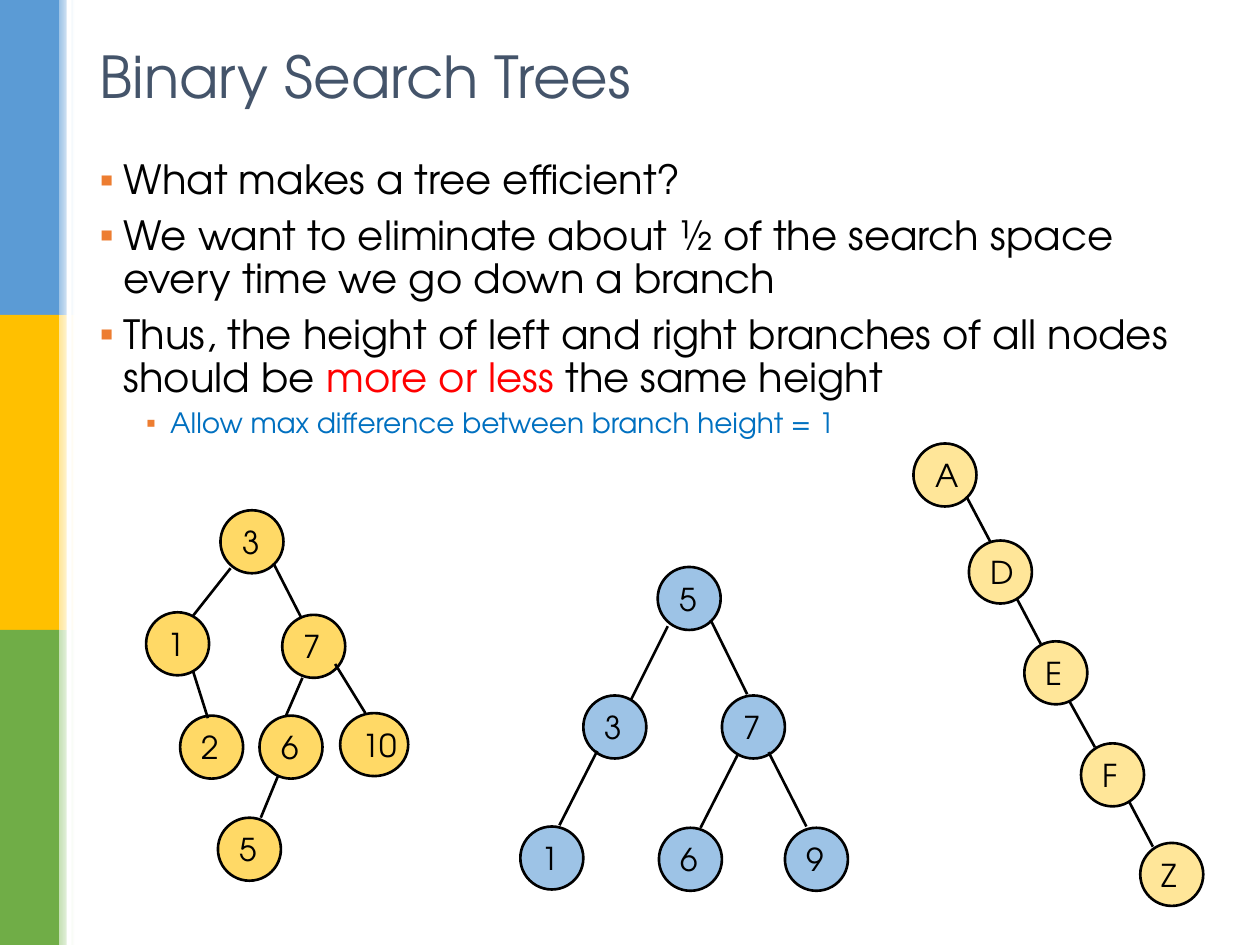
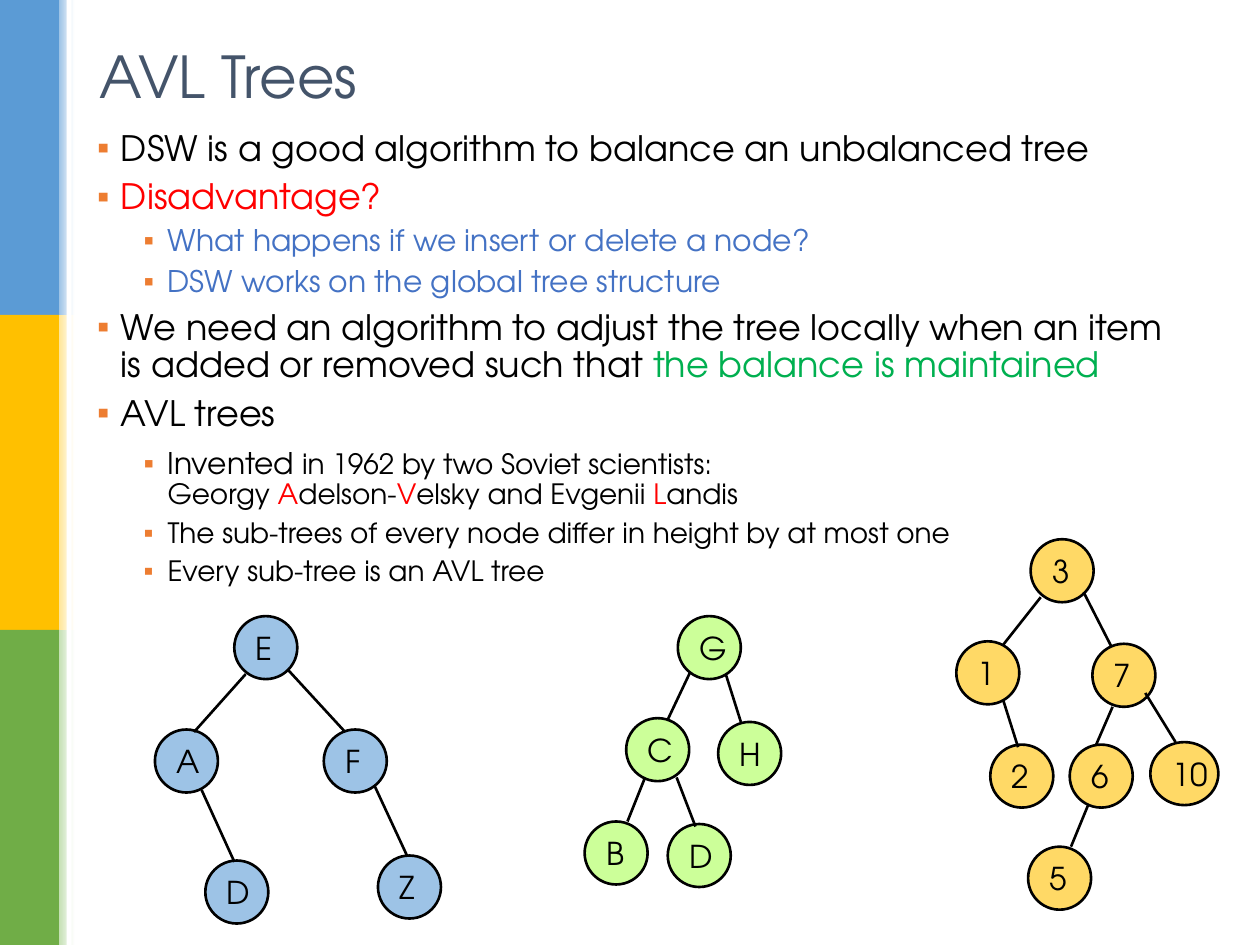
from lxml.etree import SubElement
from pptx import Presentation
from pptx.dml.color import RGBColor
from pptx.enum.shapes import MSO_CONNECTOR, MSO_SHAPE
from pptx.enum.text import MSO_ANCHOR, MSO_AUTO_SIZE, PP_ALIGN
from pptx.oxml.ns import qn
from pptx.util import Inches, Pt

FONT = "TeX Gyre Adventor"
BLACK = RGBColor(0x00, 0x00, 0x00)
WHITE = RGBColor(0xFF, 0xFF, 0xFF)
SLATE = RGBColor(0x44, 0x54, 0x6A)
RED = RGBColor(0xFF, 0x00, 0x00)
BLUE = RGBColor(0x00, 0x70, 0xC0)
INDIGO = RGBColor(0x44, 0x72, 0xC4)
GREEN = RGBColor(0x00, 0xB0, 0x50)
ORANGE = RGBColor(0xED, 0x7D, 0x31)
SKY = RGBColor(0x9D, 0xC3, 0xE6)
GOLD = RGBColor(0xFF, 0xD9, 0x66)
CREAM = RGBColor(0xFF, 0xE6, 0x99)
LIME = RGBColor(0xCC, 0xFF, 0x99)
BANDS = [  # solid colour, start of the fading edge
    (RGBColor(0x5B, 0x9B, 0xD5), SKY),
    (RGBColor(0xFF, 0xC0, 0x00), CREAM),
    (RGBColor(0x70, 0xAD, 0x47), RGBColor(0xC5, 0xE0, 0xB4)),
]
BAND_H = 2.5
NODE_D = 0.5

# A tree has nodes (label, left, top) and edges (x1, y1, x2, y2).
MIXED_TREE = (
    [("3", 1.75, 4.05), ("1", 1.16, 4.86), ("7", 2.24, 4.88), ("2", 1.43, 5.68),
     ("6", 2.06, 5.68), ("10", 2.7, 5.66), ("5", 1.73, 6.49)],
    [(1.83, 4.51, 1.53, 4.89), (2.17, 4.47, 2.39, 4.9), (1.53, 5.32, 1.65, 5.7),
     (2.4, 5.38, 2.27, 5.68), (2.66, 5.27, 2.9, 5.66), (2.21, 6.15, 2.07, 6.49)],
)
FULL_TREE = (
    [("5", 5.22, 4.5), ("3", 4.63, 5.52), ("7", 5.73, 5.52),
     ("1", 4.13, 6.56), ("6", 5.23, 6.57), ("9", 6.23, 6.57)],
    [(5.3, 4.97, 5.01, 5.55), (5.64, 4.92, 5.93, 5.51), (4.74, 5.96, 4.44, 6.55),
     (5.86, 5.98, 5.56, 6.57), (6.1, 5.97, 6.4, 6.56)],
)
CHAIN_TREE = (
    [("A", 7.25, 3.52), ("D", 7.69, 4.29), ("E", 8.13, 5.09),
     ("F", 8.58, 5.9), ("Z", 9.05, 6.69)],
    [(7.67, 3.94, 7.86, 4.3), (8.07, 4.75, 8.26, 5.11),
     (8.49, 5.57, 8.69, 5.93), (8.96, 6.36, 9.15, 6.72)],
)
OUTER_TREE = (
    [("E", 1.86, 4.89), ("A", 1.23, 5.79), ("F", 2.57, 5.79),
     ("D", 1.63, 6.83), ("Z", 3, 6.79)],
    [(1.95, 5.35, 1.54, 5.81), (2.28, 5.31, 2.74, 5.81),
     (1.6, 6.27, 1.86, 6.84), (2.97, 6.23, 3.23, 6.79)],
)
LEFT_TREE = (
    [("G", 5.38, 4.89), ("C", 4.97, 5.7), ("H", 5.7, 5.73),
     ("B", 4.64, 6.52), ("D", 5.3, 6.54)],
    [(5.48, 5.33, 5.3, 5.71), (5.76, 5.35, 5.88, 5.73),
     (5.12, 6.17, 4.98, 6.52), (5.37, 6.17, 5.52, 6.56)],
)

# Paragraphs are (level, [(text, size, colour), ...]); trees are (tree, fill, dx, dy).
SLIDES = [
    {
        "title": "Binary Search Trees",
        "body_at": (0.69, 1.22, 8.86, 5.83),
        "body": [
            (0, [("What makes a tree efficient?", 23, BLACK)]),
            (0, [("We want to eliminate about ½ of the search space every time "
                  "we go down a branch", 23, BLACK)]),
            (0, [("Thus, the height of left and right branches of all nodes should be ",
                  23, BLACK),
                 ("more or less ", 23, RED), ("the same height", 23, BLACK)]),
            (1, [("Allow max difference between branch height = 1", 16, BLUE)]),
        ],
        "trees": [(FULL_TREE, SKY, 0, 0), (CHAIN_TREE, CREAM, 0, 0),
                  (MIXED_TREE, GOLD, 0, 0)],
    },
    {
        "title": "AVL Trees",
        "body_at": (0.67, 0.99, 8.86, 5.99),
        "body": [
            (0, [("DSW is a good algorithm to balance an unbalanced tree", 20, BLACK)]),
            (0, [("Disadvantage?", 20, RED)]),
            (1, [("What happens if we insert or delete a node?", 17, INDIGO)]),
            (1, [("DSW works on the global tree structure", 17, INDIGO)]),
            (0, [("We need an algorithm to adjust the tree locally when an item is "
                  "added or removed such that ", 20, BLACK),
                 ("the balance is maintained", 20, GREEN)]),
            (0, [("AVL trees", 20, BLACK)]),
            (1, [("Invented", 17, BLACK),
                 (" in 1962 by two Soviet scientists: ", 16, BLACK),
                 ("\n", 16, BLACK), ("Georgy ", 16, BLACK),
                 ("A", 16, RED), ("delson-", 16, BLACK),
                 ("V", 16, RED), ("elsky and Evgenii ", 16, BLACK),
                 ("L", 16, RED), ("andis", 16, BLACK)]),
            (1, [("The sub-trees of every node differ in height by at most one", 16, BLACK)]),
            (1, [("Every sub-tree is an AVL tree", 16, BLACK)]),
        ],
        "trees": [(OUTER_TREE, SKY, 0, 0), (MIXED_TREE, GOLD, 6.43, 0.23),
                  (LEFT_TREE, LIME, 0, 0)],
    },
]


def add_text(p, text, size, color):
    r = p.add_run()
    r.text = text
    for name, value in {"name": FONT, "size": Pt(size)}.items():
        setattr(r.font, name, value)
    r.font.color.rgb = color


def add_plain(s, kind, left, top, width, height):
    """Add a preset shape without shadow or outline."""
    sp = s.shapes.add_shape(kind, Inches(left), Inches(top), Inches(width), Inches(height))
    sp.shadow.inherit = False
    sp.line.fill.background()
    return sp


prs = Presentation()
prs.slide_width, prs.slide_height = Inches(10), Inches(7.5)
layout = prs.slide_layouts[1]
slides = [prs.slides.add_slide(layout) for _ in SLIDES]

# Side bands, drawn once and moved to the master
bands = []
for i, (color, fade) in enumerate(BANDS):
    sp = add_plain(slides[0], MSO_SHAPE.RECTANGLE, 0, i * BAND_H, 0.47, BAND_H)
    sp.fill.solid()
    sp.fill.fore_color.rgb = color
    edge = add_plain(slides[0], MSO_SHAPE.RECTANGLE, 0.47, i * BAND_H, 0.12, BAND_H)
    edge.fill.gradient()
    edge.fill.gradient_angle = 0
    for stop, stop_color in zip(edge.fill.gradient_stops, (fade, WHITE)):
        stop.color.rgb = stop_color
    bands += [sp, edge]
gap = add_plain(slides[0], MSO_SHAPE.RECTANGLE, 0.53, 0, 0.04, 7.5)
gap.fill.solid()
gap.fill.fore_color.rgb = WHITE
for i, sp in enumerate(bands + [gap]):
    prs.slide_master.shapes.element.insert(2 + i, sp.element)

# Title place shared through the layout
title = layout.placeholders[0]
for name, value in zip(("left", "top", "width", "height"), (0.69, 0.26, 8.62, 0.68)):
    setattr(title, name, Inches(value))

for s, content in zip(slides, SLIDES):
    tf = s.shapes.title.text_frame
    tf.vertical_anchor = MSO_ANCHOR.MIDDLE
    tf.auto_size = MSO_AUTO_SIZE.NONE
    tf.paragraphs[0].alignment = PP_ALIGN.LEFT
    add_text(tf.paragraphs[0], content["title"], 33, SLATE)

    body = s.placeholders[1]
    for name, value in zip(("left", "top", "width", "height"), content["body_at"]):
        setattr(body, name, Inches(value))
    tf = body.text_frame
    tf.auto_size = MSO_AUTO_SIZE.NONE
    for i, (level, runs) in enumerate(content["body"]):
        p = tf.add_paragraph() if i else tf.paragraphs[0]
        p.level = level
        p.line_spacing = 0.9
        pPr = p._p.get_or_add_pPr()
        pPr.set("marL", str(Inches((0.19, 0.56)[level])))
        pPr.set("indent", str(Inches(-0.19)))
        SubElement(SubElement(pPr, qn("a:spcBef")), qn("a:spcPct"), val="30000")
        SubElement(SubElement(pPr, qn("a:buClr")), qn("a:srgbClr"), val=str(ORANGE))
        SubElement(pPr, qn("a:buChar"), char="▪")
        for text, size, color in runs:
            if text == "\n":
                p.add_line_break()
            else:
                add_text(p, text, size, color)

    for (nodes, edges), fill, dx, dy in content["trees"]:
        for label, left, top in nodes:
            width = NODE_D if len(label) == 1 else 0.54
            sp = add_plain(s, MSO_SHAPE.OVAL, left + dx, top + dy, width, NODE_D)
            sp.fill.solid()
            sp.fill.fore_color.rgb = fill
            sp.line.color.rgb = BLACK
            sp.line.width = Pt(1.5)
            tf = sp.text_frame
            tf.word_wrap = False
            tf.vertical_anchor = MSO_ANCHOR.MIDDLE
            tf.paragraphs[0].alignment = PP_ALIGN.LEFT
            add_text(tf.paragraphs[0], label, 18, BLACK)
        for x1, y1, x2, y2 in edges:
            line = s.shapes.add_connector(
                MSO_CONNECTOR.STRAIGHT, Inches(x1 + dx), Inches(y1 + dy),
                Inches(x2 + dx), Inches(y2 + dy))
            line.line.color.rgb = BLACK
            line.line.width = Pt(1.5)
            SubElement(line._element.spPr, qn("a:effectLst"))

prs.save("out.pptx")
